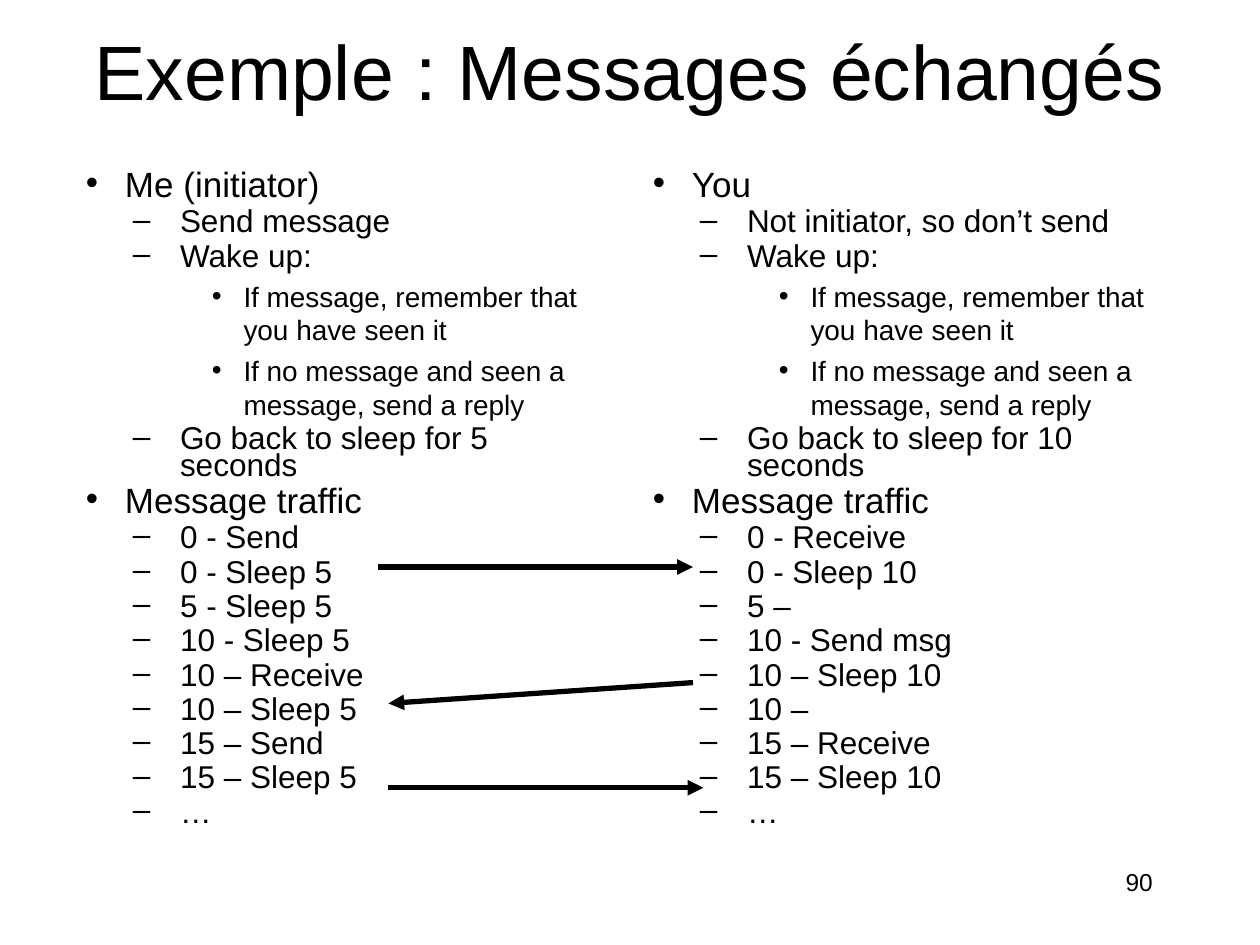
from dataclasses import dataclass

from lxml.etree import SubElement
from pptx import Presentation
from pptx.dml.color import RGBColor
from pptx.enum.shapes import MSO_CONNECTOR
from pptx.enum.text import MSO_ANCHOR, PP_ALIGN
from pptx.oxml.ns import qn
from pptx.util import Cm, Pt

BLACK = RGBColor(0, 0, 0)
WHITE = RGBColor(255, 255, 255)
FONT = "Arial"


@dataclass(frozen=True)
class Level:
    bullet: str
    size: int
    margin: float
    hanging: float
    space_before: float
    line_spacing: float


@dataclass(frozen=True)
class Column:
    left: float
    width: float
    role: str
    first_step: str
    pause: int
    traffic: tuple[str, ...]


@dataclass(frozen=True)
class Message:
    start: tuple[float, float]
    end: tuple[float, float]


LEVELS = (
    Level("•", 20, 0.79, 0.79, 5, 0.7),
    Level("–", 18, 1.9, 0.95, 4.5, 0.7),
    Level("•", 16, 3.18, 0.64, 4, 1.0),
)

COLUMNS = (
    Column(1.48, 11, "Me (initiator)", "Send message", 5,
           ("0 - Send", "0 - Sleep 5", "5 - Sleep 5", "10 - Sleep 5",
            "10 – Receive", "10 – Sleep 5", "15 – Send", "15 – Sleep 5", "…")),
    Column(12.91, 11.43, "You", "Not initiator, so don’t send", 10,
           ("0 - Receive", "0 - Sleep 10", "5 –", "10 - Send msg",
            "10 – Sleep 10", "10 –", "15 – Receive", "15 – Sleep 10", "…")),
)

# Each arrow runs from sender to receiver
MESSAGES = (
    Message((7.62, 11.43), (13.97, 11.43)),
    Message((13.97, 13.76), (7.83, 14.18)),
    Message((7.83, 15.88), (14.18, 15.88)),
)


def add_box(slide, left: float, top: float, width: float, height: float):
    box = slide.shapes.add_textbox(Cm(left), Cm(top), Cm(width), Cm(height))
    box.text_frame.word_wrap = True
    return box.text_frame


def format_runs(paragraph, size: int) -> None:
    for run in paragraph.runs:
        run.font.name = FONT
        run.font.size = Pt(size)
        run.font.color.rgb = BLACK


def add_label(slide, text: str, place: tuple[float, ...], size: int,
              align: PP_ALIGN, anchor: MSO_ANCHOR) -> None:
    frame = add_box(slide, *place)
    frame.text = text
    frame.vertical_anchor = anchor
    frame.paragraphs[0].alignment = align
    format_runs(frame.paragraphs[0], size)


def format_item(paragraph, depth: int, is_first: bool) -> None:
    level = LEVELS[depth]
    paragraph.level = depth
    paragraph.line_spacing = level.line_spacing
    paragraph.space_before = Pt(0 if is_first else level.space_before)
    properties = paragraph._p.get_or_add_pPr()
    properties.set("marL", str(Cm(level.margin)))
    properties.set("indent", str(-Cm(level.hanging)))
    SubElement(properties, qn("a:buFont"), typeface=FONT)
    SubElement(properties, qn("a:buChar"), char=level.bullet)
    format_runs(paragraph, level.size)


def add_column(slide, column: Column) -> None:
    items = [
        (0, column.role),
        (1, column.first_step),
        (1, "Wake up:"),
        (2, "If message, remember that you have seen it"),
        (2, "If no message and seen a message, send a reply"),
        (1, f"Go back to sleep for {column.pause} seconds"),
        (0, "Message traffic"),
        *((1, event) for event in column.traffic),
    ]
    frame = add_box(slide, column.left, 3.39, column.width, 14.39)
    frame.text = "\n".join(text for _, text in items)
    for index, (paragraph, (depth, _)) in enumerate(zip(frame.paragraphs, items)):
        format_item(paragraph, depth, index == 0)


def add_message(slide, message: Message) -> None:
    ends = [Cm(value) for value in message.start + message.end]
    arrow = slide.shapes.add_connector(MSO_CONNECTOR.STRAIGHT, *ends)
    arrow.line.color.rgb = BLACK
    arrow.line.width = Pt(3)
    SubElement(arrow.line._get_or_add_ln(), qn("a:tailEnd"), type="triangle")
    SubElement(arrow._element.spPr, qn("a:effectLst"))


def main() -> None:
    presentation = Presentation()
    presentation.slide_width = Cm(25.4)
    presentation.slide_height = Cm(19.05)
    slide = presentation.slides.add_slide(presentation.slide_layouts[6])
    slide.background.fill.solid()
    slide.background.fill.fore_color.rgb = WHITE

    # Page number and title
    add_label(slide, "90", (18.2, 17.36, 5.29, 1.27), 14,
              PP_ALIGN.RIGHT, MSO_ANCHOR.TOP)
    add_label(slide, "Exemple : Messages échangés", (1.27, 0.2, 22.86, 2.41), 44,
              PP_ALIGN.CENTER, MSO_ANCHOR.MIDDLE)

    # The two parties
    for column in COLUMNS:
        add_column(slide, column)

    # Messages exchanged between them
    for message in MESSAGES:
        add_message(slide, message)

    presentation.save("out.pptx")


if __name__ == "__main__":
    main()
